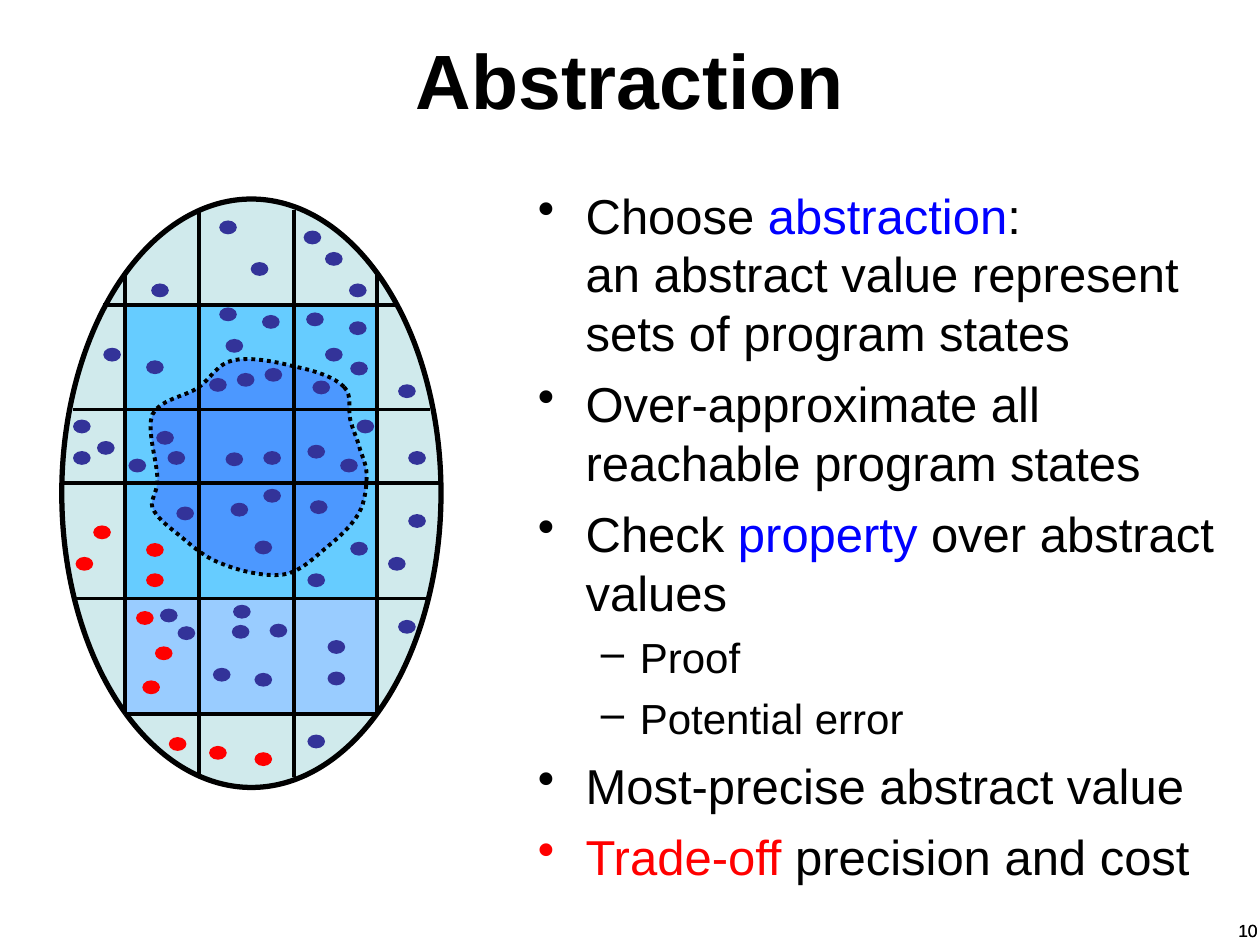
from collections import namedtuple
from dataclasses import dataclass

from lxml import etree
from pptx import Presentation
from pptx.dml.color import RGBColor
from pptx.enum import dml, shapes, text
from pptx.oxml import ns
from pptx.util import Inches, Pt

Box = namedtuple("Box", "left top width height")
Item = namedtuple("Item", "spans level bullet_color")


@dataclass(frozen=True)
class Theme:
    font: str = "Arial"
    black: str = "000000"
    blue: str = "0000FF"
    red: str = "FF0000"
    universe: str = "D0EAEC"
    wide_cover: str = "99CCFF"
    tight_cover: str = "66CCFF"
    reachable: str = "3366FF"
    state: str = "333399"
    title_size: int = 44
    body_sizes: tuple = (28, 24)
    number_size: int = 10
    outline: float = 3
    rule: float = 2.25


THEME = Theme()
BULLETS = (("•", 0.38, -0.38, 7), ("–", 0.81, -0.31, 6))  # mark, margin, indent, gap

# Diagram positions, in inches from the corner of its box
COLUMNS = {0.49: (0.67, 4.17), 1.08: (0.17, 4.67), 1.83: (0.17, 4.67), 2.49: (0.67, 4.17)}
ROWS = {0.92: (0.32, 2.66), 1.75: (0.08, 2.91), 2.33: (-0.01, 2.99),
        3.25: (0.08, 2.91), 4.17: (0.49, 2.49)}
REGION_START = (2.23, 1.57)
REGION_CURVES = [  # two control points and an end point each
    ((2.15, 1.49), (1.99, 1.44), (1.84, 1.41)), ((1.69, 1.37), (1.48, 1.33), (1.35, 1.36)),
    ((1.22, 1.39), (1.18, 1.5), (1.07, 1.58)), ((0.96, 1.65), (0.77, 1.67), (0.71, 1.79)),
    ((0.66, 1.91), (0.75, 2.17), (0.75, 2.3)), ((0.75, 2.42), (0.69, 2.46), (0.71, 2.53)),
    ((0.74, 2.6), (0.81, 2.66), (0.9, 2.73)), ((0.99, 2.8), (1.11, 2.92), (1.25, 2.97)),
    ((1.39, 3.03), (1.6, 3.08), (1.75, 3.06)), ((1.89, 3.04), (2.01, 2.91), (2.11, 2.83)),
    ((2.21, 2.75), (2.3, 2.66), (2.35, 2.57)), ((2.4, 2.48), (2.41, 2.35), (2.41, 2.27)),
    ((2.41, 2.18), (2.37, 2.12), (2.35, 2.04)), ((2.33, 1.97), (2.3, 1.91), (2.28, 1.83)),
    ((2.26, 1.75), (2.3, 1.64), (2.23, 1.57)),
]
STATES = [
    (2.27, 1.05), (2.08, 1.26), (2.28, 1.37), (1.16, 1.5), (1.38, 1.46), (1.29, 2.09),
    (0.83, 2.08), (2.33, 1.83), (2.74, 2.08), (2.2, 2.14), (1.98, 1.52), (1.33, 2.49),
    (1.96, 2.47), (2.28, 2.8), (1.94, 3.05), (1.58, 1), (1.35, 3.3), (1.93, 0.98),
    (1.24, 0.25), (1.29, 1.19), (1.24, 0.94), (1.6, 1.42), (1.94, 2.03), (1.59, 2.38),
    (1.59, 2.08), (0.74, 1.92), (0.9, 2.52), (0.7, 0.75), (0.52, 2.14), (0.66, 1.36),
    (1.49, 0.58), (0.32, 1.26), (1.34, 3.46), (1.52, 3.84), (1.64, 3.45), (1.52, 2.79),
    (1.19, 3.8), (0.91, 3.47), (0.77, 3.33), (1.94, 4.33), (2.1, 3.83), (2.1, 3.58),
    (2.66, 3.42), (2.58, 2.92), (2.74, 2.58), (0.27, 2), (0.08, 2.08), (0.08, 1.83),
    (2.27, 0.75), (1.91, 0.33), (2.08, 0.5), (2.66, 1.55),
]
ERRORS = [
    (0.66, 2.81), (0.1, 2.92), (0.66, 3.05), (0.24, 2.67), (0.73, 3.63),
    (0.63, 3.9), (0.58, 3.35), (0.84, 4.35), (1.52, 4.47), (1.16, 4.42),
]


def rgb(color):
    return RGBColor.from_string(color)


def add_bullet(para, mark, margin, indent, color):
    props = para._p.get_or_add_pPr()
    props.set("marL", str(Inches(margin)))
    props.set("indent", str(Inches(indent)))
    holder = etree.SubElement(props, ns.qn("a:buClr"))
    etree.SubElement(holder, ns.qn("a:srgbClr"), val=color)
    etree.SubElement(props, ns.qn("a:buChar"), char=mark)


def add_span(para, words, *, size, color=THEME.black, bold=False):
    span = para.add_run()
    span.text = words
    span.font.name = THEME.font
    span.font.size = Pt(size)
    span.font.bold = bold
    span.font.color.rgb = rgb(color)


def add_text_frame(page, box, anchor=text.MSO_ANCHOR.TOP):
    frame = page.shapes.add_textbox(*map(Inches, box)).text_frame
    frame.word_wrap = True
    frame.vertical_anchor = anchor
    return frame


def add_label(page, box, words, align, anchor=text.MSO_ANCHOR.TOP, **style):
    para = add_text_frame(page, box, anchor).paragraphs[0]
    para.alignment = align
    add_span(para, words, **style)


def add_filled(page, kind, box, color, outline=None):
    shape = page.shapes.add_shape(kind, *map(Inches, box))
    shape.shadow.inherit = False
    shape.fill.solid()
    shape.fill.fore_color.rgb = rgb(color)
    if outline:
        shape.line.color.rgb = rgb(THEME.black)
        shape.line.width = Pt(outline)
    else:
        shape.line.fill.background()


def add_rule(page, start, end):
    rule = page.shapes.add_connector(
        shapes.MSO_CONNECTOR.STRAIGHT, *map(Inches, (*start, *end)))
    rule.line.color.rgb = rgb(THEME.black)
    rule.line.width = Pt(THEME.rule)
    etree.SubElement(rule._element.spPr, ns.qn("a:effectLst"))


def curve_points(start, curves, steps=8):
    """Sample a chain of cubic curves at even steps."""
    for first, second, end in curves:
        for step in range(1, steps + 1):
            t = step / steps
            weights = ((1 - t) ** 3, 3 * t * (1 - t) ** 2, 3 * t * t * (1 - t), t ** 3)
            yield tuple(sum(w * v for w, v in zip(weights, axis))
                        for axis in zip(start, first, second, end))
        start = end


def add_reachable_region(page, box):
    def place(point):
        return Inches(box.left + point[0]), Inches(box.top + point[1])

    builder = page.shapes.build_freeform(*place(REGION_START))
    builder.add_line_segments(map(place, curve_points(REGION_START, REGION_CURVES)))
    region = builder.convert_to_shape()
    region.shadow.inherit = False
    region.fill.solid()
    region.fill.fore_color.rgb = rgb(THEME.reachable)
    fill_color = region._element.spPr.find(ns.qn("a:solidFill"))[0]
    etree.SubElement(fill_color, ns.qn("a:alpha"), val="50000")
    region.line.color.rgb = rgb(THEME.black)
    region.line.width = Pt(THEME.rule)
    region.line.dash_style = dml.MSO_LINE.ROUND_DOT


def add_state_space(page, box):
    left, top = box.left, box.top
    oval, rectangle = shapes.MSO_SHAPE.OVAL, shapes.MSO_SHAPE.RECTANGLE
    # Universe of states and its abstract covers
    add_filled(page, oval, (left - 0.01, top + 0.08, 3.01, 4.67), THEME.universe, THEME.outline)
    for height, color in ((3.25, THEME.wide_cover), (2.33, THEME.tight_cover)):
        add_filled(page, rectangle, (left + 0.49, top + 0.92, 2, height), color)
    add_reachable_region(page, box)
    # Partition grid
    for y, (start, end) in ROWS.items():
        add_rule(page, (left + start, top + y), (left + end, top + y))
    for x, (start, end) in COLUMNS.items():
        add_rule(page, (left + x, top + start), (left + x, top + end))
    # Program states
    for points, color in ((STATES, THEME.state), (ERRORS, THEME.red)):
        for x, y in points:
            add_filled(page, oval, (left + x, top + y, 0.14, 0.11), color)


def add_points(page, box, items):
    frame = add_text_frame(page, box)
    for index, item in enumerate(items):
        para = frame.add_paragraph() if index else frame.paragraphs[0]
        mark, margin, indent, gap = BULLETS[item.level]
        para.space_before = Pt(gap if index else 0)
        add_bullet(para, mark, margin, indent, item.bullet_color)
        for words, color in item.spans:
            if words == "\n":
                para.add_line_break()
            else:
                add_span(para, words, size=THEME.body_sizes[item.level], color=color)


def main():
    deck = Presentation()
    deck.slide_width, deck.slide_height = Inches(10), Inches(7.5)
    page = deck.slides.add_slide(deck.slide_layouts[6])
    black, blue, red = THEME.black, THEME.blue, THEME.red

    add_label(page, Box(0.5, 0, 9, 1.25), "Abstraction", text.PP_ALIGN.CENTER,
              text.MSO_ANCHOR.MIDDLE, size=THEME.title_size, bold=True)
    add_state_space(page, Box(0.5, 1.5, 3, 4.75))
    add_points(page, Box(4.17, 1.42, 5.58, 5.83), [
        Item([("Choose ", black), ("abstraction", blue), (": ", black), ("\n", black),
              ("an abstract value represent sets of program states", black)], 0, black),
        Item([("Over-approximate all reachable program states", black)], 0, black),
        Item([("Check ", black), ("property", blue), (" over abstract values", black)], 0, black),
        Item([("Proof", black)], 1, black),
        Item([("Potential error", black)], 1, black),
        Item([("Most-precise abstract value", black)], 0, black),
        Item([("Trade-off", red), (" precision and cost", black)], 0, red),
    ])
    # Page number, set in both footer boxes
    for left, width in ((9.58, 0.5), (7.75, 2.33)):
        add_label(page, Box(left, 7.25, width, 0.52), "10", text.PP_ALIGN.RIGHT,
                  size=THEME.number_size)
    deck.save("out.pptx")


if __name__ == "__main__":
    main()
